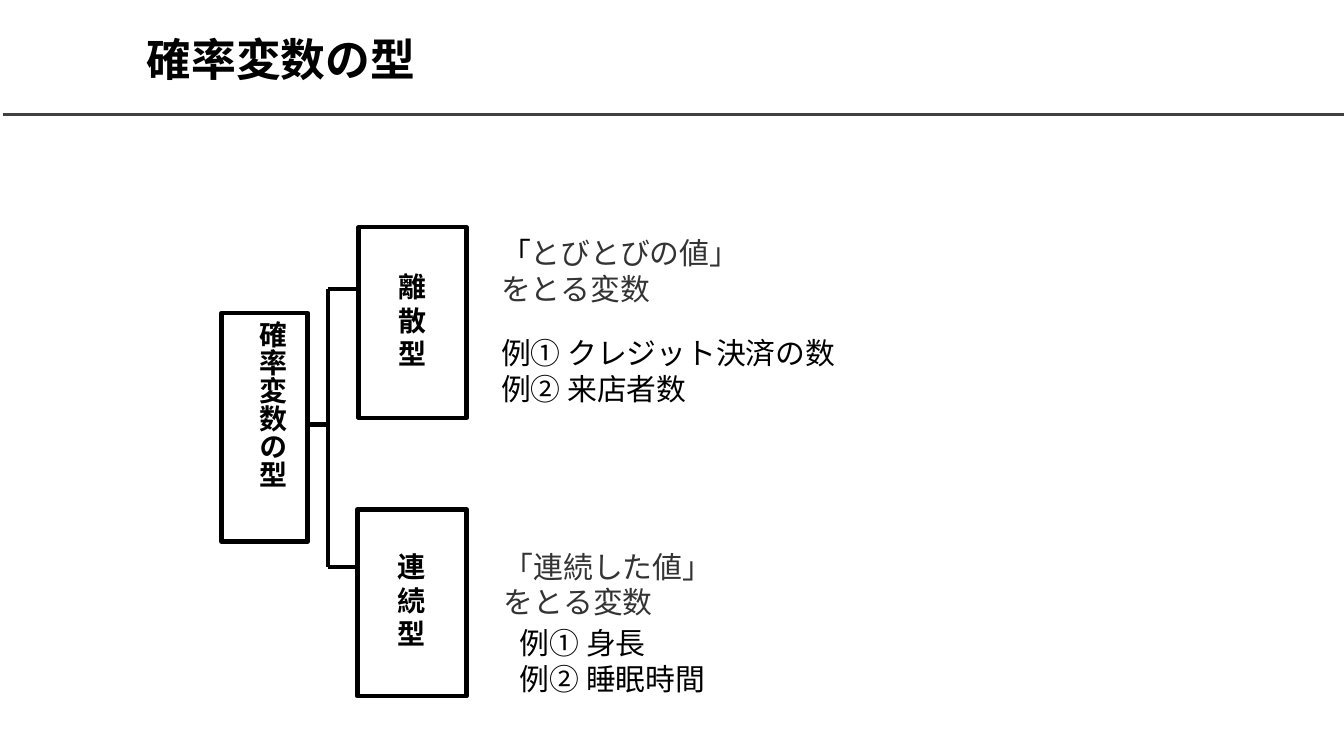
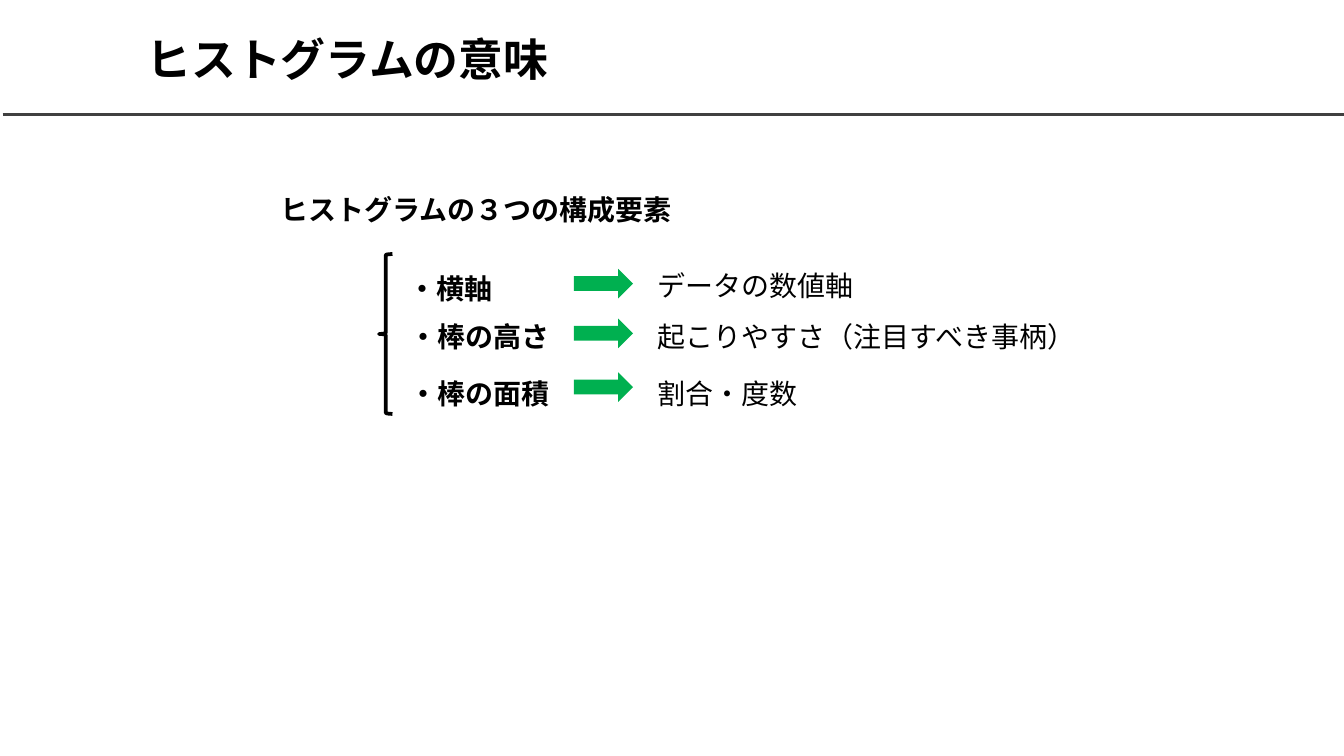
from lxml.etree import SubElement
from pptx import Presentation
from pptx.dml.color import RGBColor
from pptx.enum.shapes import MSO_CONNECTOR, MSO_SHAPE
from pptx.enum.text import MSO_ANCHOR, PP_ALIGN
from pptx.oxml.ns import qn
from pptx.util import Inches, Pt

COLORS = {"ink": "000000", "quote": "333333", "rule": "404040", "arrow": "00B050"}
FONT = "Noto Sans CJK JP"
CELL = Inches(0.1)  # the slide is a grid of 100 columns
LEADING = 1.2


def write(frame, lines, size, bold=False, color="ink", align=PP_ALIGN.LEFT):
    """Fill a text frame with one paragraph per line."""
    for number, line in enumerate(lines):
        paragraph = frame.paragraphs[0] if number == 0 else frame.add_paragraph()
        paragraph.text = line
        paragraph.alignment = align
        paragraph.line_spacing = Pt(size * LEADING)
        font = paragraph.font
        font.size, font.bold, font.name = Pt(size), bold, FONT
        font.color.rgb = RGBColor.from_string(COLORS[color])
        properties = paragraph._p.pPr.find(qn("a:defRPr"))
        SubElement(properties, qn("a:ea")).set("typeface", FONT)


def draw_line(shapes, ends, color, width):
    """Draw a straight line between two grid points."""
    line = shapes.add_connector(MSO_CONNECTOR.STRAIGHT, *[int(end * CELL) for end in ends])
    line.line.color.rgb = RGBColor.from_string(COLORS[color])
    line.line.width = Pt(width)
    SubElement(line.element.spPr, qn("a:effectLst"))
    return line


deck = Presentation()
deck.slide_width = Inches(10)
deck.slide_height = deck.slide_width * 9 // 16

# Shared layout: title position and the rule below it
layout = deck.slide_layouts[5]
for holder in list(layout.placeholders)[1:]:
    holder.element.getparent().remove(holder.element)
heading = layout.placeholders[0]
heading.left, heading.top, heading.width, heading.height = [
    int(n * CELL) for n in (9.9, 1.2, 86.7, 6.3)]

# Slides with their titles
types, histogram = [deck.slides.add_slide(layout) for _ in range(2)]
for slide, title in ((types, "確率変数の型"), (histogram, "ヒストグラムの意味")):
    slide.shapes.title.text_frame.vertical_anchor = MSO_ANCHOR.MIDDLE
    write(slide.shapes.title.text_frame, [title], 24, bold=True)
rule = draw_line(types.shapes, (0.2, 8.5, 100.2, 8.5), "rule", 1.5)
layout.shapes.element.append(rule.element)

# Slide 1: tree of variable types
for place, lines in (
    ((16.5, 23.3, 6.4, 17), ["確率変数の型"]),
    ((26.7, 16.9, 8, 14.2), list("離散型")),
    ((26.6, 37.9, 8.1, 13.9), list("連続型")),
):
    node = types.shapes.add_shape(MSO_SHAPE.RECTANGLE, *[int(n * CELL) for n in place])
    node.shadow.inherit = False
    node.fill.background()
    node.line.color.rgb = RGBColor.from_string(COLORS["ink"])
    node.line.width = Pt(2.5)
    frame = node.text_frame
    frame.vertical_anchor = MSO_ANCHOR.MIDDLE
    frame.margin_bottom = Inches(0.09)
    if len(lines) == 1:  # the root reads downwards
        frame._txBody.bodyPr.set("vert", "eaVert")
        frame.margin_left, frame.margin_right = Inches(0.16), Inches(0.05)
        frame.margin_top, frame.margin_bottom = Inches(0.06), Inches(0.28)
    write(frame, lines, 15, bold=True, align=PP_ALIGN.CENTER)

# Branches: trunk, two arms and the stem to the root
branches = types.shapes.add_group_shape().shapes
trunk, upper, lower = 24.4, 21.5, 42.2
for ends in (
    (trunk, upper, trunk, lower),
    (26.7, lower, trunk, lower),
    (26.6, upper, trunk, upper),
    (trunk, 31.6, 22.9, 31.6),
):
    draw_line(branches, ends, "ink", 2.5)

# Definitions and examples; a tail follows its first line in the quote colour
for left, top, width, lines, color, tail in (
    (36.5, 40.3, 19.1, ["「連続した値」をとる変数"], "quote", ""),
    (36.3, 17, 20.5, ["「"], "ink", "とびとびの値」をとる変数"),
    (36.3, 24.4, 27.5, ["例① クレジット決済の数", "例② 来店者数"], "ink", ""),
    (37.7, 46, 19.1, ["例① 身長", "例② 睡眠時間"], "ink", ""),
):
    note = types.shapes.add_textbox(*[int(n * CELL) for n in (left, top, width, 6.4)])
    note.text_frame.word_wrap = True
    write(note.text_frame, lines, 16, color=color)
    if tail:
        definition = note.text_frame.paragraphs[0].add_run()
        definition.text = tail
        definition.font.color.rgb = RGBColor.from_string(COLORS["quote"])

# Slide 2: subheading
subheading = histogram.shapes.add_textbox(*[int(n * CELL) for n in (19.9, 13.8, 31.5, 3.5)])
subheading.text_frame.word_wrap = False
write(subheading.text_frame, ["ヒストグラムの３つの構成要素"], 15, bold=True)

# Each row: element, arrow, meaning
for element, element_top, element_width, arrow_top, meaning, meaning_top, meaning_width in (
    ("・横軸", 19.7, 8.3, 20, "データの数値軸", 19.5, 16.7),
    ("・棒の高さ", 23.3, 12.5, 23.7, "起こりやすさ（注目すべき事柄）", 23.3, 33.2),
    ("・棒の面積", 27.5, 12.5, 27.7, "割合・度数", 27.5, 12.5),
):
    for text, left, top, width, bold in (
        (element, 29.4, element_top, element_width, True),
        (meaning, 47.9, meaning_top, meaning_width, False),
    ):
        label = histogram.shapes.add_textbox(*[int(n * CELL) for n in (left, top, width, 3.5)])
        label.text_frame.word_wrap = False
        write(label.text_frame, [text], 15, bold=bold, align=PP_ALIGN.CENTER)
    arrow = histogram.shapes.add_shape(
        MSO_SHAPE.RIGHT_ARROW, *[int(n * CELL) for n in (42.7, arrow_top, 4.4, 2.2)])
    arrow.shadow.inherit = False
    arrow.fill.solid()
    arrow.fill.fore_color.rgb = RGBColor.from_string(COLORS["arrow"])
    arrow.line.fill.background()

# Brace around the three elements
brace = histogram.shapes.add_shape(
    MSO_SHAPE.RIGHT_BRACE, *[int(n * CELL) for n in (28.2, 18.9, 1, 11.9)])
brace.rotation = 180
brace.shadow.inherit = False
brace.fill.background()
brace.line.color.rgb = RGBColor.from_string(COLORS["ink"])
brace.line.width = Pt(2)

deck.save("out.pptx")
